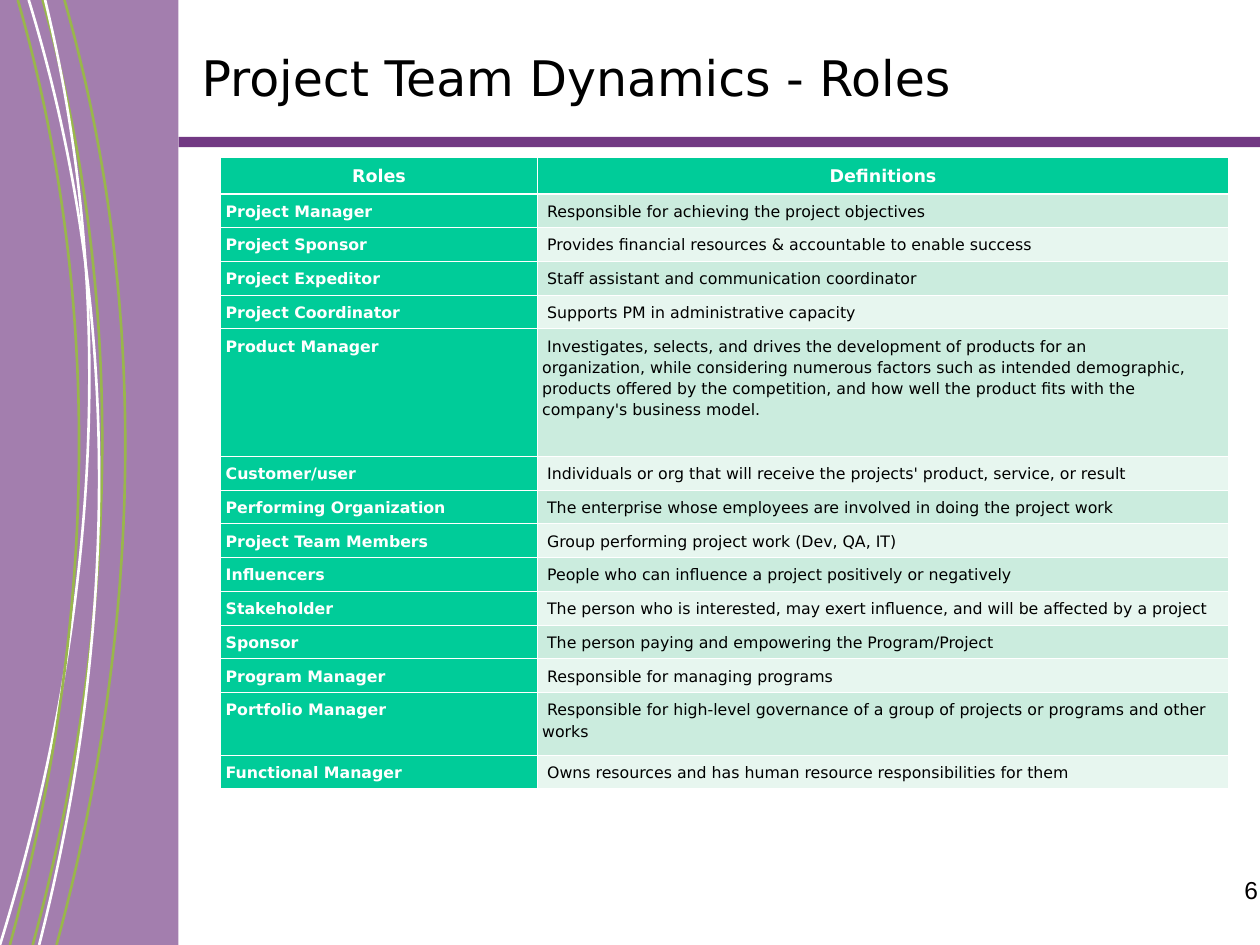
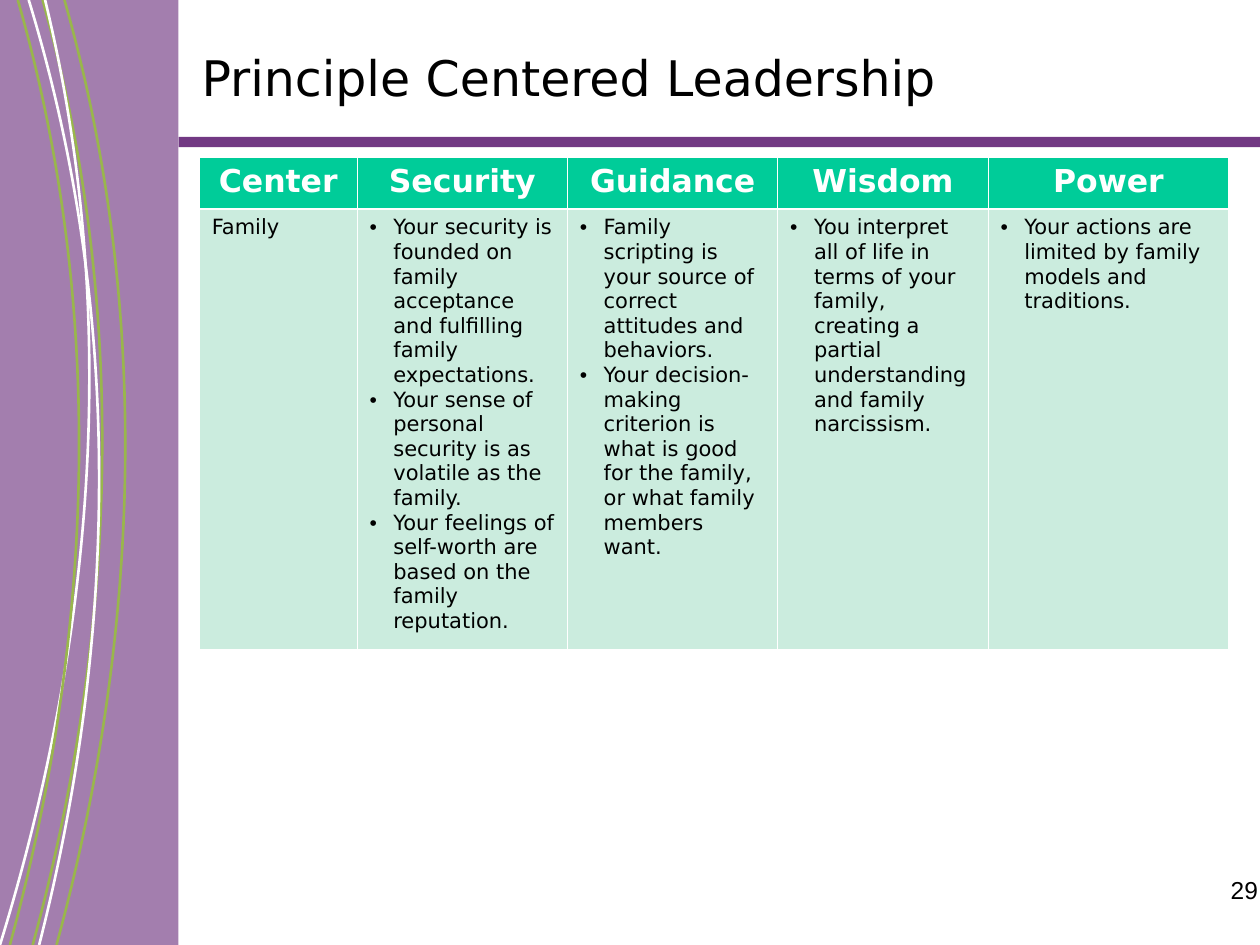
from lxml import etree
from pptx import Presentation
from pptx.dml.color import RGBColor
from pptx.enum.shapes import MSO_SHAPE
from pptx.enum.text import MSO_ANCHOR, PP_ALIGN
from pptx.oxml import parse_xml
from pptx.oxml.ns import nsdecls, qn
from pptx.util import Cm, Pt

RECTANGLE = MSO_SHAPE.RECTANGLE
LEFT, CENTER, RIGHT = PP_ALIGN.LEFT, PP_ALIGN.CENTER, PP_ALIGN.RIGHT
MIDDLE = MSO_ANCHOR.MIDDLE

PURPLE, LIME, OFF_WHITE = "723983", "99B64C", "FFFFFE"
GREEN, MINT, PALE_MINT = "00CC99", "CBECDE", "E7F6EF"
WHITE, BLACK = "FFFFFF", "000000"
TEXT_FONT, NUMBER_FONT = "DejaVu Sans", "Arial"
WIDTH, HEIGHT = 25.4, 19.05
BAND_WIDTH = 3.6
HAIRLINE, HEADER_LINE = 0.45, 1.47
NBSP = chr(160)


def color(hex_value):
    return RGBColor.from_string(hex_value)


def style_cell(cell, fill, size, ink, bold=False, align=LEFT, side_margin=0.25,
               spacing=1.0, top_line=HAIRLINE, bottom_line=HAIRLINE):
    cell.margin_left = cell.margin_right = Cm(side_margin)
    cell.margin_top = cell.margin_bottom = Cm(0.12)
    borders = (("L", HAIRLINE), ("R", HAIRLINE), ("T", top_line), ("B", bottom_line))
    for side, points in borders:
        cell._tc.get_or_add_tcPr().append(parse_xml(
            f'<a:ln{side} {nsdecls("a")} w="{Pt(points)}"><a:solidFill>'
            f'<a:srgbClr val="{WHITE}"/></a:solidFill></a:ln{side}>'))
    cell.fill.solid()
    cell.fill.fore_color.rgb = color(fill)
    for paragraph in cell.text_frame.paragraphs:
        paragraph.alignment = align
        paragraph.line_spacing = spacing
        for run in paragraph.runs:
            run.font.name = TEXT_FONT
            run.font.size = Pt(size)
            run.font.bold = bold
            run.font.color.rgb = color(ink)


prs = Presentation()
prs.slide_width, prs.slide_height = Cm(WIDTH), Cm(HEIGHT)
layout = prs.slide_layouts[5]

# Slides with title and page number
slides = []
for heading, page in (("Project Team Dynamics - Roles", "6"),
                      ("Principle Centered Leadership", "29")):
    slide = prs.slides.add_slide(layout)
    slides.append(slide)

    title = slide.shapes.title
    title.left, title.top, title.width, title.height = Cm(3.81), Cm(0.43), Cm(21.59), Cm(2.24)
    title.text_frame.text = heading
    title.text_frame.vertical_anchor = MIDDLE
    title.text_frame.paragraphs[0].alignment = LEFT

    page_number = slide.shapes.add_textbox(Cm(19.69), Cm(17.52), Cm(5.92), Cm(1.32))
    page_number.text_frame.word_wrap = True
    page_number.text_frame.text = page
    page_number.text_frame.paragraphs[0].alignment = RIGHT

    for label, font_name, size in ((title, TEXT_FONT, 28), (page_number, NUMBER_FONT, 14)):
        font = label.text_frame.paragraphs[0].runs[0].font
        font.name, font.size = font_name, Pt(size)
        font.color.rgb = color(BLACK)

# Shared decoration: rule, side band and sweeping lines
shapes = slides[0].shapes
rule = shapes.add_shape(RECTANGLE, Cm(BAND_WIDTH), Cm(2.76),
                        Cm(WIDTH - BAND_WIDTH), Cm(0.21))
band = shapes.add_shape(RECTANGLE, 0, 0, Cm(BAND_WIDTH), Cm(HEIGHT))
for block in (rule, band):
    block.fill.solid()
    block.fill.fore_color.rgb = color(PURPLE)
    block.line.fill.background()
band_color = band._element.spPr.find(qn("a:solidFill"))[0]
etree.SubElement(band_color, qn("a:alpha"), val="65000")

# Colour and the x of four Bezier points, top to bottom
sweeps = [
    (LIME, (0.86, 2.92, 1.98, 0.66)),
    (LIME, (1.3, 3.38, 2.46, 1.14)),
    (OFF_WHITE, (0.58, 2.82, 2.03, 0.79)),
    (OFF_WHITE, (0.91, 2.69, 1.5, 0)),
    (LIME, (0.36, 2.46, 1.52, 0.2)),
]
sweep_heights = (0, 7.32, 14.2, HEIGHT)
decoration = [rule, band]
for sweep_color, across in sweeps:
    start, *controls = [(Cm(x), Cm(y)) for x, y in zip(across, sweep_heights)]
    outline = shapes.build_freeform(*start)
    outline.add_line_segments(controls, close=False)
    sweep = outline.convert_to_shape()
    # Join the three segments into one cubic curve
    segments = list(sweep._element.iter(qn("a:lnTo")))
    curve = etree.SubElement(segments[0].getparent(), qn("a:cubicBezTo"))
    for segment in segments:
        curve.append(segment[0])
        segment.getparent().remove(segment)
    sweep.fill.background()
    sweep.line.color.rgb = color(sweep_color)
    sweep.line.width = Pt(1.5)
    decoration.append(sweep)

# Move the decoration to the layout, behind its placeholders
for order, part in enumerate(decoration):
    part.shadow.inherit = False
    part._element.nvSpPr.cNvPr.set("id", str(100 + order))
    layout.shapes._spTree.insert(2 + order, part._element)

# Slide 1: roles and their definitions
roles = [
    ("Roles", "Definitions"),
    ("Project Manager", "Responsible for achieving the project objectives"),
    ("Project Sponsor", "Provides financial resources & accountable to enable success"),
    ("Project Expeditor", "Staff assistant and communication coordinator"),
    ("Project Coordinator", "Supports PM in administrative capacity"),
    ("Product Manager",
     f"Investigates,{NBSP}selects,{NBSP}and drives the development of products for an "
     f"organization,{NBSP}while{NBSP}considering numerous factors such as intended "
     f"demographic, products offered by the competition,{NBSP}and how well the product "
     "fits with the company's business model."),
    ("Customer/user",
     "Individuals or org that will receive the projects' product, service, or result"),
    ("Performing Organization",
     "The enterprise whose employees are involved in doing the project work"),
    ("Project Team Members", "Group performing project work (Dev, QA, IT)"),
    ("Influencers", "People who can influence a project positively or negatively"),
    ("Stakeholder",
     "The person who is interested, may exert influence, and will be affected by a project"),
    ("Sponsor", "The person paying and empowering the Program/Project"),
    ("Program Manager", "Responsible for managing programs"),
    ("Portfolio Manager",
     "Responsible for high-level governance of a group of projects or programs and other works"),
    ("Functional Manager", "Owns resources and has human resource responsibilities for them"),
]
role_heights = {"Roles": 0.72, "Product Manager": 2.57, "Portfolio Manager": 1.26}
roles_table = slides[0].shapes.add_table(len(roles), 2, Cm(4.45), Cm(3.18),
                                         Cm(20.32), Cm(12.71)).table
for column, width in zip(roles_table.columns, (6.38, 13.94)):
    column.width = Cm(width)
for row, texts in enumerate(roles):
    roles_table.rows[row].height = Cm(role_heights.get(texts[0], 0.68))
    for col, text in enumerate(texts):
        cell = roles_table.cell(row, col)
        cell.text_frame.text = text
        is_definition = row > 0 and col == 1
        if is_definition:
            # Slight first-line indent
            cell.text_frame.paragraphs[0]._p.get_or_add_pPr().set("indent", str(Cm(0.1)))
        stripe = MINT if row % 2 else PALE_MINT
        style_cell(cell, stripe if is_definition else GREEN,
                   size=9 if row else 10,
                   ink=BLACK if is_definition else WHITE,
                   bold=not is_definition,
                   align=LEFT if row else CENTER,
                   side_margin=0.1, spacing=1.15,
                   top_line=HEADER_LINE if row == 1 else HAIRLINE,
                   bottom_line=HAIRLINE if row else HEADER_LINE)

# Slide 2: a family-centered life and its four factors
factors = [
    ("Center", 3.18, ["Family"]),
    ("Security", 4.24, [
        "Your security is founded on family acceptance and fulfilling family expectations.",
        "Your sense of personal security is as volatile as the family.",
        "Your feelings of self-worth are based on the family reputation."]),
    ("Guidance", 4.24, [
        "Family scripting is your source of correct attitudes and behaviors.",
        "Your decision-making criterion is what is good for the family, "
        "or what family members want."]),
    ("Wisdom", 4.24, [
        "You interpret all of life in terms of your family, creating a partial "
        "understanding and family narcissism."]),
    ("Power", 4.85, ["Your actions are limited by family models and traditions."]),
]
factors_table = slides[1].shapes.add_table(2, len(factors), Cm(4.02), Cm(3.18),
                                           Cm(20.75), Cm(9.91)).table
factors_table.rows[0].height, factors_table.rows[1].height = Cm(1.04), Cm(8.87)
for col, (factor, width, effects) in enumerate(factors):
    factors_table.columns[col].width = Cm(width)
    header, body = factors_table.cell(0, col), factors_table.cell(1, col)
    header.text_frame.text = factor
    body.text_frame.text = "\n".join(effects)
    if col > 0:
        for paragraph in body.text_frame.paragraphs:
            properties = paragraph._p.get_or_add_pPr()
            properties.set("marL", str(Cm(0.48)))
            properties.set("indent", str(-Cm(0.48)))
            etree.SubElement(properties, qn("a:buFont"), typeface=NUMBER_FONT)
            etree.SubElement(properties, qn("a:buChar"), char="•")
    style_cell(header, GREEN, 18, WHITE, bold=True, align=CENTER, bottom_line=HEADER_LINE)
    style_cell(body, MINT, 12, BLACK, top_line=HEADER_LINE)

prs.save("out.pptx")
